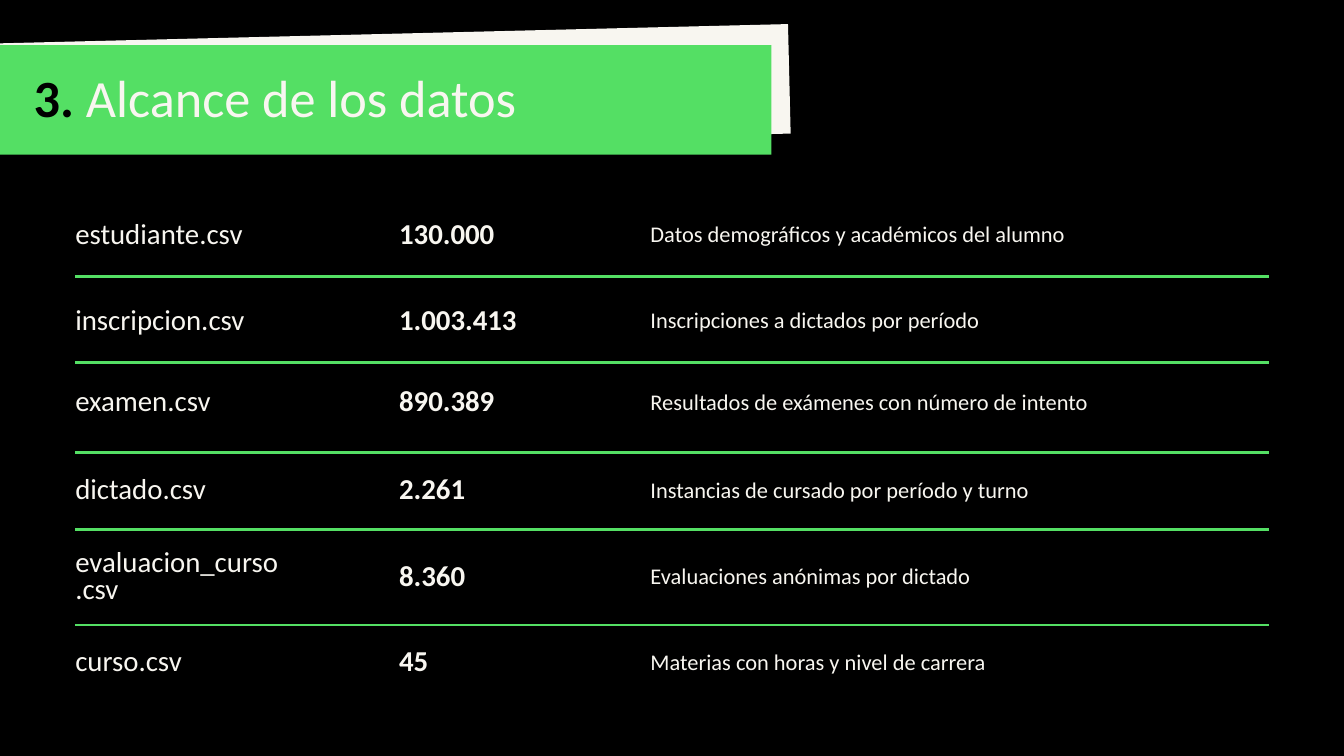
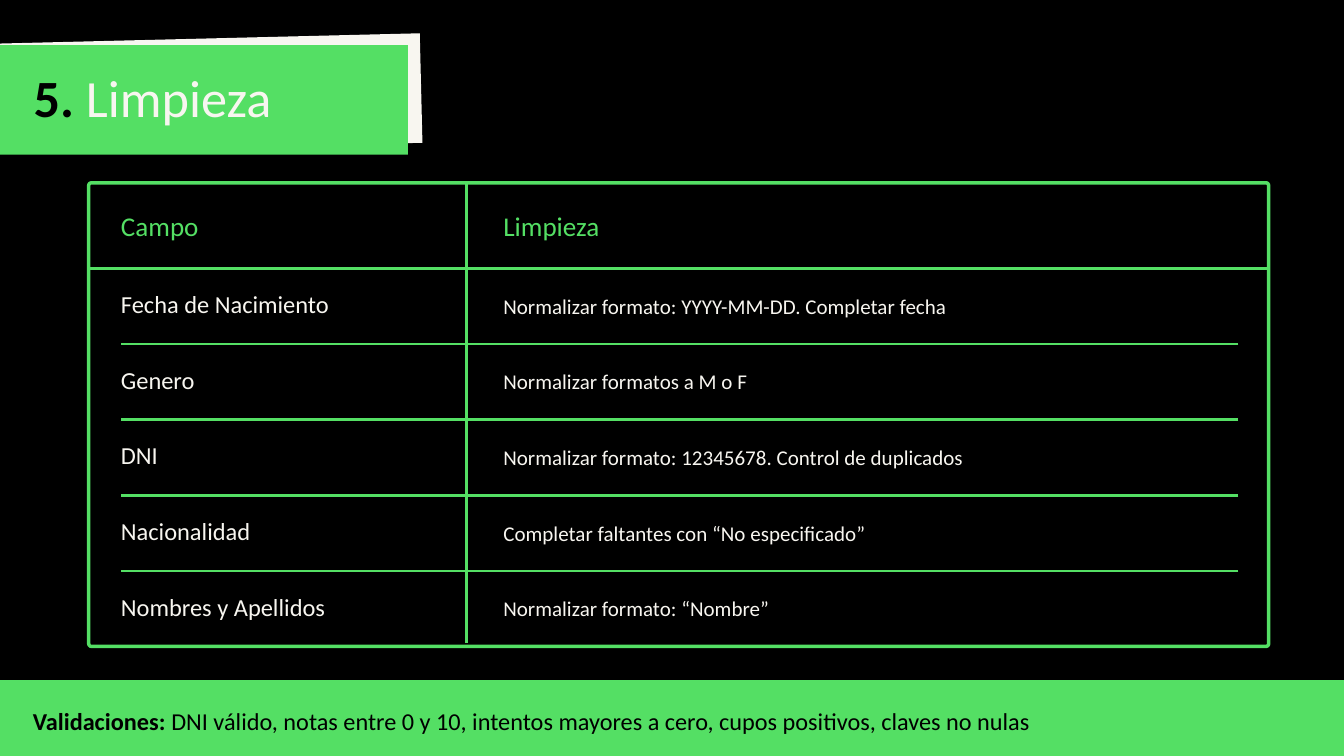
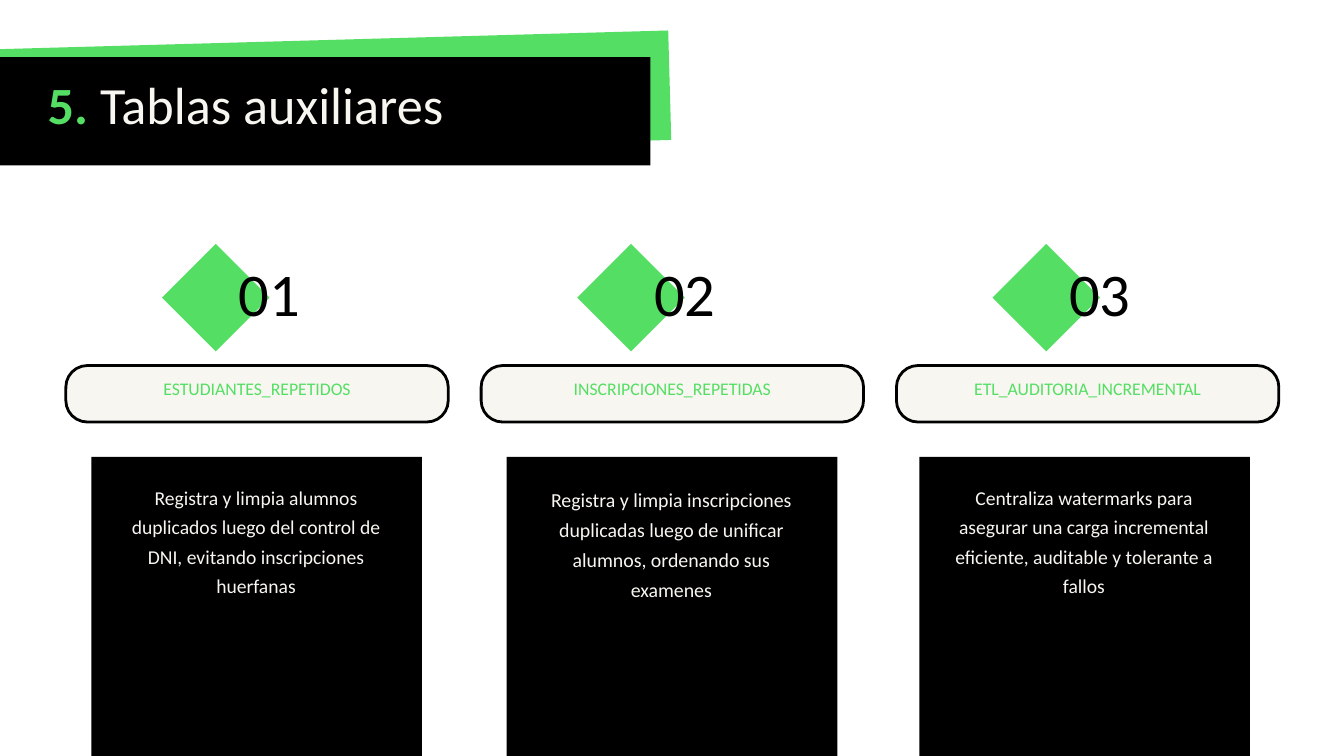
"""Build three slides on the scope, cleaning and auxiliary tables of a data project."""
import pptx
import pptx.dml.color
import pptx.enum.shapes
import pptx.enum.text
import pptx.oxml.ns
import pptx.util
from lxml import etree
from pptx.util import Inches

COLORS = {"black": "000000", "cream": "F8F6F0", "green": "54DF64", "white": "FFFFFF"}
FONT = "Calibri"
TIGHT_SPACING = 0.94
RULE_WEIGHT = 3
PLAIN_TABLE_STYLE = "{2D5ABB26-0587-4C30-8999-92F81FD0307C}"
SHAPES = pptx.enum.shapes.MSO_SHAPE
ALIGN = pptx.enum.text.PP_ALIGN
ANCHOR = pptx.enum.text.MSO_ANCHOR

SCOPE_ROWS = [
    ("estudiante.csv", "130.000", "Datos demográficos y académicos del alumno"),
    ("inscripcion.csv", "1.003.413", "Inscripciones a dictados por período"),
    ("examen.csv", "890.389", "Resultados de exámenes con número de intento"),
    ("dictado.csv", "2.261", "Instancias de cursado por período y turno"),
    ("evaluacion_curso.csv", "8.360", "Evaluaciones anónimas por dictado"),
    ("curso.csv", "45", "Materias con horas y nivel de carrera"),
]
CLEANING_ROWS = [
    ("Campo", "Limpieza"),
    ("Fecha de Nacimiento", "Normalizar formato: YYYY-MM-DD. Completar fecha"),
    ("Genero", "Normalizar formatos a M o F"),
    ("DNI", "Normalizar formato: 12345678. Control de duplicados"),
    ("Nacionalidad", "Completar faltantes con “No especificado”"),
    ("Nombres y Apellidos", "Normalizar formato: “Nombre”"),
]
AUXILIARY_TABLES = [
    ("ESTUDIANTES_REPETIDOS", 1.36, 0.34, 21,
     "Registra y limpia alumnos duplicados luego del control de DNI, "
     "evitando inscripciones huerfanas"),
    ("INSCRIPCIONES_REPETIDAS", 7.54, 0.37, 21.3,
     "Registra y limpia inscripciones duplicadas luego de unificar alumnos, "
     "ordenando sus examenes"),
    ("ETL_AUDITORIA_INCREMENTAL", 13.68, 0.34, 21,
     "Centraliza watermarks para asegurar una carga incremental eficiente, "
     "auditable y tolerante a fallos"),
]


def rgb(name):
    """Return the named colour."""
    return pptx.dml.color.RGBColor.from_string(COLORS[name])


def write_text(frame, runs, size, color="cream", bold=False, align=ALIGN.LEFT,
               spacing=TIGHT_SPACING):
    """Write one paragraph from a string or from (text, colour, bold) runs."""
    if isinstance(runs, str):
        runs = [(runs, color, bold)]
    frame.word_wrap = True
    paragraph = frame.paragraphs[0]
    paragraph.alignment = align
    paragraph.line_spacing = pptx.util.Pt(round(size * spacing, 1))
    for text, run_color, run_bold in runs:
        run = paragraph.add_run()
        run.text = text
        run.font.name = FONT
        run.font.size = pptx.util.Pt(size)
        run.font.bold = run_bold
        run.font.color.rgb = rgb(run_color)


def set_margins(target, left=0, top=0, right=0, bottom=0):
    """Set the inner margins of a text frame or a table cell."""
    target.margin_left, target.margin_top = Inches(left), Inches(top)
    target.margin_right, target.margin_bottom = Inches(right), Inches(bottom)


def add_block(slide, kind, left, top, width, height, fill=None, line=None,
              weight=RULE_WEIGHT):
    """Add a preset shape with its fill and outline, without shadow."""
    shape = slide.shapes.add_shape(
        kind, Inches(left), Inches(top), Inches(width), Inches(height))
    shape.shadow.inherit = False
    if fill:
        shape.fill.solid()
        shape.fill.fore_color.rgb = rgb(fill)
    else:
        shape.fill.background()
    if line:
        shape.line.color.rgb = rgb(line)
        shape.line.width = pptx.util.Pt(weight)
    else:
        shape.line.fill.background()
    return shape


def add_line(slide, start, end):
    """Add a straight green line."""
    line = slide.shapes.add_connector(
        pptx.enum.shapes.MSO_CONNECTOR.STRAIGHT,
        *(Inches(value) for value in (*start, *end)))
    line.line.color.rgb = rgb("green")
    line.line.width = pptx.util.Pt(RULE_WEIGHT)
    etree.SubElement(line._element.spPr, pptx.oxml.ns.qn("a:effectLst"))


def add_rules(slide, left, right, heights):
    """Add horizontal lines between two sides at the given heights."""
    for height in heights:
        add_line(slide, (right, height), (left, height))


def add_plain_table(slide, rows, left, row_edges, columns, header_size=None):
    """Add an unfilled table; a header row gets its own size and colour."""
    widths = [column["width"] for column in columns]
    table = slide.shapes.add_table(
        len(rows), len(columns), Inches(left), Inches(row_edges[0]),
        Inches(sum(widths)), Inches(row_edges[-1] - row_edges[0])).table
    table.first_row = table.horz_banding = False
    table._tbl.tblPr.find(pptx.oxml.ns.qn("a:tableStyleId")).text = PLAIN_TABLE_STYLE
    for index, width in enumerate(widths):
        table.columns[index].width = Inches(width)
    for row_index, texts in enumerate(rows):
        table.rows[row_index].height = Inches(
            row_edges[row_index + 1] - row_edges[row_index])
        is_header = bool(header_size) and row_index == 0
        for column_index, (text, column) in enumerate(zip(texts, columns)):
            cell = table.cell(row_index, column_index)
            cell.vertical_anchor = ANCHOR.MIDDLE
            set_margins(cell, left=column.get("indent", 0),
                        top=0 if is_header else column.get("drop", 0),
                        right=column.get("margin_right", 0))
            cell.fill.background()
            write_text(cell.text_frame, text,
                       header_size if is_header else column["size"],
                       color="green" if is_header else "cream",
                       bold=column.get("bold", False))


def add_titled_slide(presentation, runs, background, bar_color, bar, backing_color,
                     backing, tilt, title_at):
    """Add a slide whose title lies on a bar with a tilted band behind it."""
    slide = presentation.slides.add_slide(presentation.slide_layouts[5])
    slide.background.fill.solid()
    slide.background.fill.fore_color.rgb = rgb(background)
    band = add_block(slide, SHAPES.RECTANGLE, *backing, fill=backing_color)
    band.rotation = tilt
    add_block(slide, SHAPES.RECTANGLE, *bar, fill=bar_color)
    title = slide.shapes.title
    title.left, title.top = (Inches(value) for value in title_at)
    title.width, title.height = Inches(bar[0] + bar[2] - title_at[0]), Inches(0.79)
    frame = title.text_frame
    frame.auto_size = pptx.enum.text.MSO_AUTO_SIZE.NONE
    frame.vertical_anchor = ANCHOR.TOP
    set_margins(frame)
    write_text(frame, runs, 56)
    slide.shapes._spTree.append(title._element)
    return slide


def add_dark_slide(presentation, number, heading, bar_width, backing_top, backing_width):
    """Add a black slide with a green title bar."""
    return add_titled_slide(
        presentation, [(number, "black", True), (f" {heading}", "cream", False)],
        background="black", bar_color="green", bar=(-18.49, 0.67, bar_width, 1.63),
        backing_color="cream", backing=(-17.87, backing_top, backing_width, 1.63),
        tilt=358.6, title_at=(0.5, 1.17))


def build_scope(presentation):
    """Build the slide listing the data files and their row counts."""
    slide = add_dark_slide(presentation, "3.", "Alcance de los datos", 29.97, 0.72, 29.62)
    columns = [
        {"width": 4.82, "size": 30.9, "margin_right": 1.78},
        {"width": 3.74, "size": 30.9, "bold": True},
        {"width": 9.2, "size": 24},
    ]
    row_edges = [2.9, 4.19, 5.46, 6.63, 8.06, 9.21, 10.6]
    add_plain_table(slide, SCOPE_ROWS, 1.12, row_edges, columns)
    add_rules(slide, 1.12, 18.88, [4.12, 5.4, 6.73, 7.88, 9.3])


def build_cleaning(presentation):
    """Build the slide with the cleaning rule of each field."""
    slide = add_dark_slide(presentation, "5.", "Limpieza", 24.56, 0.79, 24.14)
    frame = add_block(slide, SHAPES.ROUNDED_RECTANGLE, 1.32, 2.72, 17.56, 6.9,
                      line="green", weight=3.75)
    frame.adjustments[0] = 0.006
    columns = [
        {"width": 5.14, "size": 26.2},
        {"width": 11.49, "size": 22.5, "indent": 0.55, "drop": 0.04},
    ]
    row_pitch = 1.126
    row_edges = [2.84] + [4.03 + row_pitch * index for index in range(6)]
    add_plain_table(slide, CLEANING_ROWS, 1.8, row_edges, columns, header_size=29)
    add_rules(slide, 1.8, 18.43, [5.12 + row_pitch * index for index in range(4)])
    add_rules(slide, 1.32, 18.88, [3.99])
    add_line(slide, (6.94, 9.57), (6.94, 2.73))
    footer = add_block(slide, SHAPES.RECTANGLE, 0, 10.12, 20, 1.13, fill="green")
    footer.text_frame.vertical_anchor = ANCHOR.MIDDLE
    set_margins(footer.text_frame, left=0.49, right=0.48, bottom=0.03)
    write_text(footer.text_frame, [
        ("Validaciones: ", "black", True),
        ("DNI válido, notas entre 0 y 10, intentos mayores a cero, "
         "cupos positivos, claves no nulas", "black", False),
    ], 26, spacing=1.5)


def add_auxiliary_table(slide, index, name, card_left, text_drop, size, description):
    """Add the numbered diamond, name pill and description card of one table."""
    offset = 6.18 * index
    card = add_block(slide, SHAPES.RECTANGLE, card_left, 6.8, 4.92, 6.85, fill="black")
    card.text_frame.vertical_anchor = ANCHOR.TOP
    set_margins(card.text_frame, left=0.4, top=text_drop, right=0.42)
    write_text(card.text_frame, description, size, align=ALIGN.CENTER, spacing=1.5)

    pill = add_block(slide, SHAPES.ROUNDED_RECTANGLE, 0.98 + offset, 5.44, 5.69, 0.84,
                     fill="cream", line="black")
    pill.adjustments[0] = 0.38
    pill.text_frame.vertical_anchor = ANCHOR.MIDDLE
    set_margins(pill.text_frame, left=0.06, top=0.06, right=0.06, bottom=0.26)
    write_text(pill.text_frame, name, 19, color="green", align=ALIGN.CENTER, spacing=1.4)

    add_block(slide, SHAPES.DIAMOND, 2.41 + offset, 3.63, 1.6, 1.6, fill="green")
    number = slide.shapes.add_textbox(
        Inches(2.73 + offset), Inches(4.05), Inches(2.56), Inches(0.92))
    set_margins(number.text_frame)
    write_text(number.text_frame, f"{index + 1:02}", 64.9, color="black",
               align=ALIGN.CENTER)


def build_auxiliary(presentation):
    """Build the slide presenting the auxiliary tables."""
    slide = add_titled_slide(
        presentation, [("5. ", "green", True), ("Tablas auxiliares", "cream", False)],
        background="white", bar_color="black", bar=(-11.42, 0.85, 21.1, 1.61),
        backing_color="green", backing=(-11.25, 0.75, 21.22, 1.63),
        tilt=358.4, title_at=(0.71, 1.27))
    for index, auxiliary_table in enumerate(AUXILIARY_TABLES):
        add_auxiliary_table(slide, index, *auxiliary_table)


def main():
    """Build and save the presentation."""
    presentation = pptx.Presentation()
    presentation.slide_width, presentation.slide_height = Inches(20), Inches(11.25)
    build_scope(presentation)
    build_cleaning(presentation)
    build_auxiliary(presentation)
    presentation.save("out.pptx")


if __name__ == "__main__":
    main()
